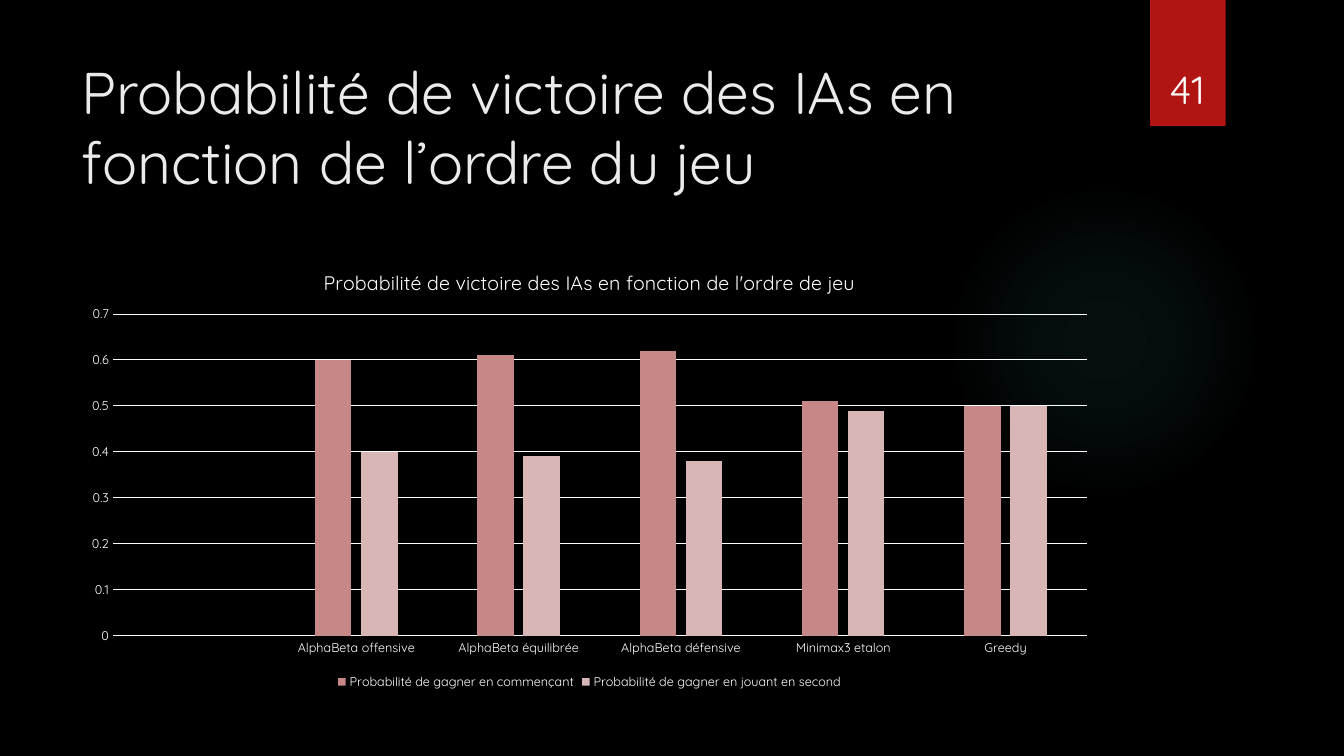
import pptx
import pptx.chart.data
import pptx.dml.color
import pptx.enum.chart
import pptx.enum.shapes
import pptx.enum.text
import pptx.oxml
import pptx.oxml.ns
import pptx.util

Pt = pptx.util.Pt
RGBColor = pptx.dml.color.RGBColor

FONT = "Quicksand"
BLACK = RGBColor(0x00, 0x00, 0x00)
WHITE = RGBColor(0xFF, 0xFF, 0xFF)
TITLE_GREY = RGBColor(0xEB, 0xEB, 0xEB)
RED = RGBColor(0xB0, 0x15, 0x13)
TEAL = RGBColor(0x50, 0xB9, 0xC1)
ROSE = RGBColor(0xC6, 0x87, 0x87)
PALE_ROSE = RGBColor(0xD9, 0xB6, 0xB6)

GLOW_STOPS = [(0, 7), (36, 6), (69, 0)]  # position and opacity, in percent
CATEGORIES = ["", "AlphaBeta offensive", "AlphaBeta équilibrée",
              "AlphaBeta défensive", "Minimax3 etalon", "Greedy"]
SERIES = [
    ("Probabilité de gagner en commençant", ROSE,
     [None, 0.6, 0.61, 0.62, 0.51, 0.5]),
    ("Probabilité de gagner en jouant en second", PALE_ROSE,
     [None, 0.4, 0.39, 0.38, 0.49, 0.5]),
]


def style_font(font, size, color):
    font.name = FONT
    font.size = Pt(size)
    font.bold = False
    font.color.rgb = color


def style_line(line, color, width):
    line.color.rgb = color
    line.width = Pt(width)


def add_plain_shape(slide, kind, left, top, width, height, color):
    shape = slide.shapes.add_shape(kind, Pt(left), Pt(top), Pt(width), Pt(height))
    shape.shadow.inherit = False
    shape.fill.solid()
    shape.fill.fore_color.rgb = color
    shape.line.fill.background()
    return shape


def add_glow(slide, left, top, diameter):
    """Add a circle whose colour fades out from its centre."""
    glow = add_plain_shape(slide, pptx.enum.shapes.MSO_SHAPE.OVAL,
                           left, top, diameter, diameter, TEAL)
    stops = "".join(
        f'<a:gs pos="{position * 1000}"><a:srgbClr val="{TEAL}">'
        f'<a:alpha val="{opacity * 1000}"/></a:srgbClr></a:gs>'
        for position, opacity in GLOW_STOPS)
    gradient = pptx.oxml.parse_xml(
        f'<a:gradFill {pptx.oxml.ns.nsdecls("a")}><a:gsLst>{stops}</a:gsLst>'
        '<a:path path="circle"><a:fillToRect l="50000" t="50000" r="50000" b="50000"/>'
        '</a:path></a:gradFill>')
    properties = glow.element.spPr
    properties.replace(properties.find(pptx.oxml.ns.qn("a:solidFill")), gradient)


def set_title(slide, text):
    title = slide.shapes.title
    title.left, title.top, title.width, title.height = Pt(51), Pt(36), Pt(741), Pt(110)
    frame = title.text_frame
    frame.text = text
    frame.word_wrap = True
    frame.auto_size = pptx.enum.text.MSO_AUTO_SIZE.NONE
    frame.vertical_anchor = pptx.enum.text.MSO_ANCHOR.TOP
    paragraph = frame.paragraphs[0]
    paragraph.alignment = pptx.enum.text.PP_ALIGN.LEFT
    paragraph.space_before = Pt(0)
    style_font(paragraph.runs[0].font, 42, TITLE_GREY)


def add_page_number(slide, text):
    box = slide.shapes.add_textbox(Pt(815), Pt(23), Pt(66), Pt(60.5))
    frame = box.text_frame
    frame.text = text
    frame.word_wrap = True
    frame.vertical_anchor = pptx.enum.text.MSO_ANCHOR.BOTTOM
    paragraph = frame.paragraphs[0]
    paragraph.alignment = pptx.enum.text.PP_ALIGN.CENTER
    paragraph.space_after = Pt(6)
    style_font(paragraph.runs[0].font, 28, WHITE)


def set_layout(parent, previous_tag, **fractions):
    """Place a chart part by fractions of the chart's size."""
    for layout in parent.findall(pptx.oxml.ns.qn("c:layout")):
        parent.remove(layout)
    target = '<c:layoutTarget val="inner"/>' if "w" in fractions else ""
    modes = '<c:xMode val="edge"/><c:yMode val="edge"/>'
    values = "".join(f'<c:{name} val="{value}"/>' for name, value in fractions.items())
    layout = pptx.oxml.parse_xml(
        f'<c:layout {pptx.oxml.ns.nsdecls("c")}><c:manualLayout>'
        f'{target}{modes}{values}</c:manualLayout></c:layout>')
    if previous_tag:
        parent.find(pptx.oxml.ns.qn(previous_tag)).addnext(layout)
    else:
        parent.insert(0, layout)


def style_axis(axis):
    axis.major_tick_mark = pptx.enum.chart.XL_TICK_MARK.NONE
    axis.minor_tick_mark = pptx.enum.chart.XL_TICK_MARK.NONE
    style_font(axis.tick_labels.font, 9, WHITE)


def add_column_chart(slide, title):
    data = pptx.chart.data.CategoryChartData()
    data.categories = CATEGORIES
    for name, _, values in SERIES:
        data.add_series(name, values)
    chart = slide.shapes.add_chart(
        pptx.enum.chart.XL_CHART_TYPE.COLUMN_CLUSTERED,
        Pt(51), Pt(176.5), Pt(740), Pt(319), data).chart
    style_font(chart.font, 10, WHITE)

    chart.has_title = True
    frame = chart.chart_title.text_frame
    frame.text = title
    style_font(frame.paragraphs[0].runs[0].font, 14, WHITE)
    chart.chart_title.include_in_layout = False
    set_layout(chart.chart_title._element, "c:tx", x=0.24, y=0.04)

    chart.has_legend = True
    chart.legend.position = pptx.enum.chart.XL_LEGEND_POSITION.BOTTOM
    chart.legend.include_in_layout = False
    style_font(chart.legend.font, 9, WHITE)

    style_axis(chart.category_axis)
    style_line(chart.category_axis.format.line, WHITE, 0.75)
    value_axis = chart.value_axis
    style_axis(value_axis)
    value_axis.format.line.fill.background()
    value_axis.minimum_scale, value_axis.maximum_scale = 0, 0.7
    value_axis.major_unit = 0.1
    value_axis.has_major_gridlines = True
    style_line(value_axis.major_gridlines.format.line, WHITE, 0.75)

    plot = chart.plots[0]
    plot.gap_width, plot.overlap = 219, -27
    plot.vary_by_categories = False
    for series, (_, color, _) in zip(plot.series, SERIES):
        series.format.fill.solid()
        series.format.fill.fore_color.rgb = color
    plot_area = chart.element.find(".//" + pptx.oxml.ns.qn("c:plotArea"))
    set_layout(plot_area, None, x=0.04, y=0.15, w=0.94, h=0.72)


def main():
    presentation = pptx.Presentation()
    presentation.slide_width, presentation.slide_height = Pt(960), Pt(540)
    slide = presentation.slides.add_slide(presentation.slide_layouts[5])
    slide.background.fill.solid()
    slide.background.fill.fore_color.rgb = BLACK

    add_glow(slide, 677.5, 132, 222)
    add_plain_shape(slide, pptx.enum.shapes.MSO_SHAPE.RECTANGLE, 821.5, 0, 54, 90, RED)
    set_title(slide, "Probabilité de victoire des IAs en fonction de l’ordre du jeu")
    add_page_number(slide, "41")
    add_column_chart(slide, "Probabilité de victoire des IAs en fonction de l'ordre de jeu")
    presentation.save("out.pptx")


if __name__ == "__main__":
    main()
